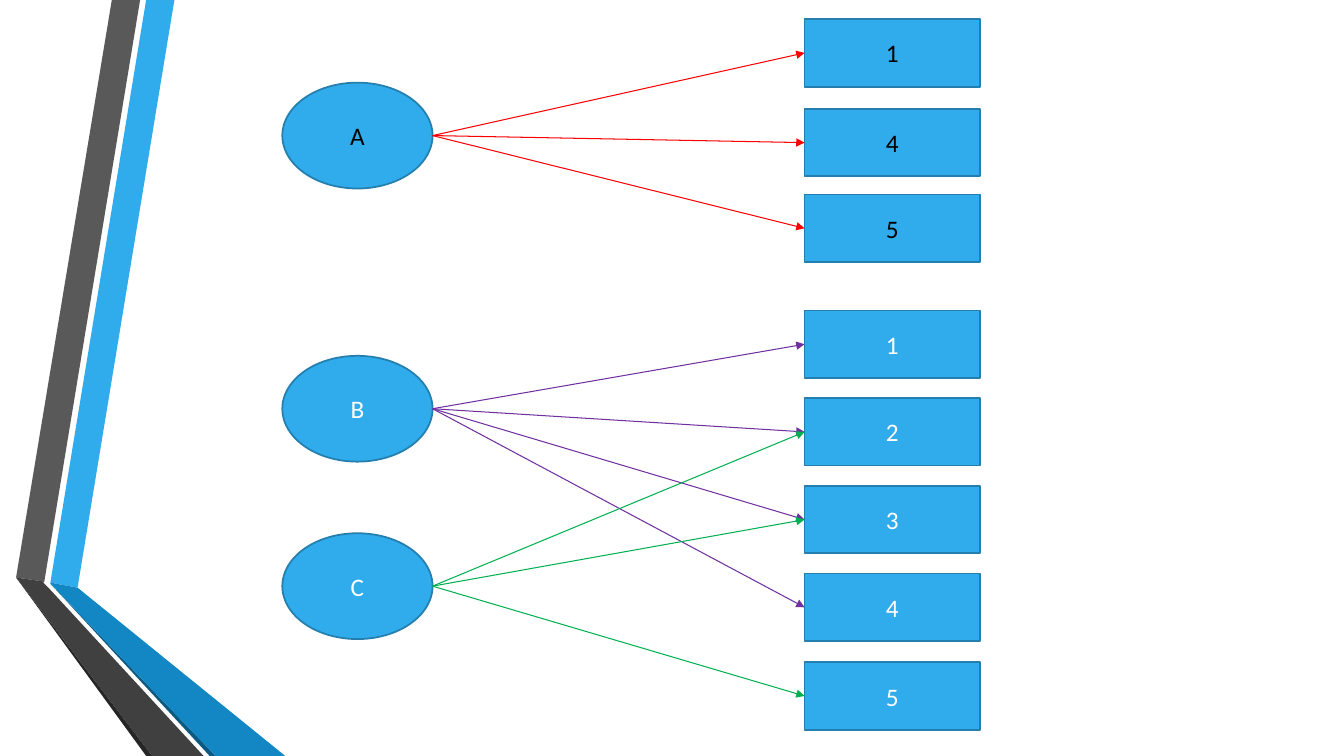
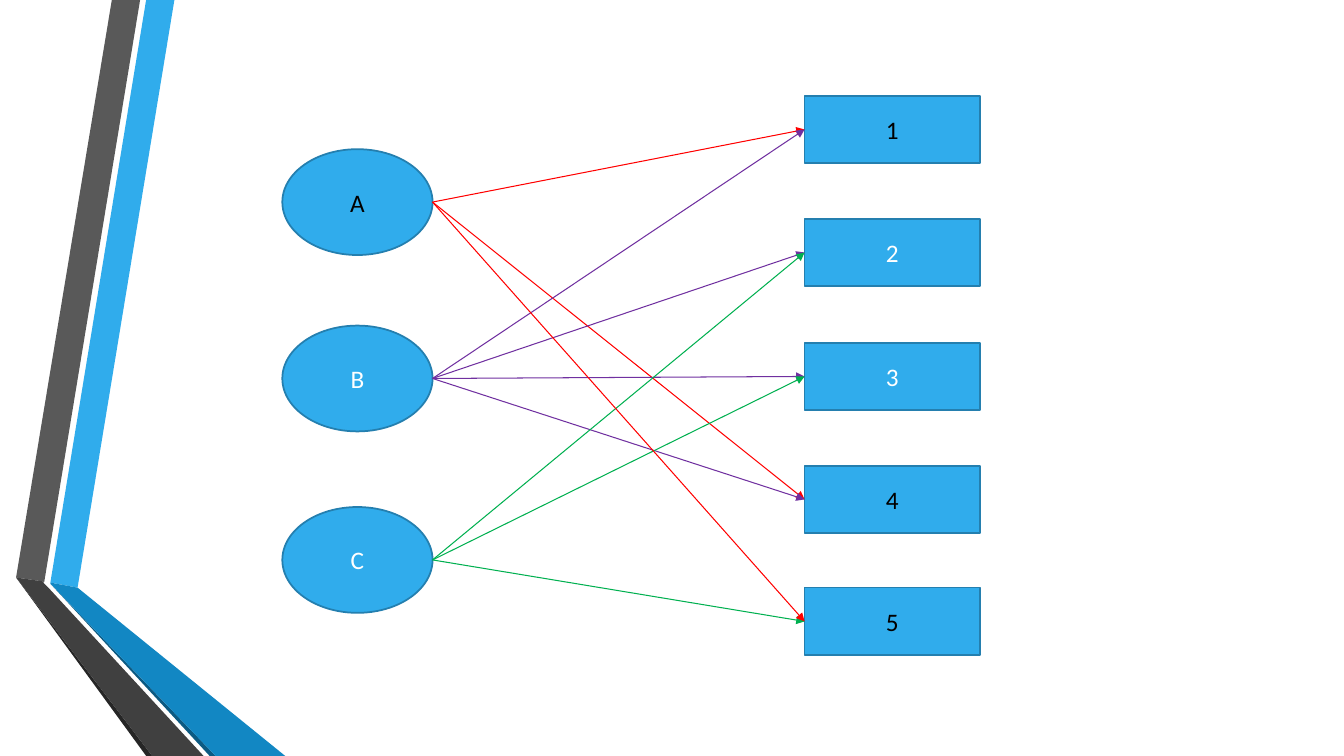
from lxml import etree
from pptx import Presentation
from pptx.dml.color import RGBColor
from pptx.enum.shapes import MSO_CONNECTOR, MSO_SHAPE
from pptx.enum.text import MSO_ANCHOR, PP_ALIGN
from pptx.oxml.ns import qn
from pptx.util import Emu, Pt

OVAL, RECTANGLE = MSO_SHAPE.OVAL, MSO_SHAPE.RECTANGLE
STRAIGHT = MSO_CONNECTOR.STRAIGHT
MIDDLE, CENTER = MSO_ANCHOR.MIDDLE, PP_ALIGN.CENTER

PX = 9144  # 100 px to the inch
WIDTH, HEIGHT = 1333, 750
BLANK_LAYOUT = 6

COLORS = {
    "blue": "30ACEC", "mid blue": "1287C3", "deep blue": "0C5A82", "outline": "247FAF",
    "grey": "595959", "dark grey": "404040", "charcoal": "262626",
    "black": "000000", "white": "FFFFFF",
    "A": "FF0000", "B": "7030A0", "C": "00B050",
}
PALETTE = {name: RGBColor.from_string(value) for name, value in COLORS.items()}

RIBBON = [
    ("blue", [(50, 578), (77, 583), (173, 0), (145, 0)]),
    ("grey", [(139, 0), (111, 0), (16, 573), (44, 577)]),
    ("charcoal", [(16, 573), (145, 750), (151, 750)]),
    ("deep blue", [(50, 579), (208, 750), (214, 750)]),
    ("mid blue", [(50, 579), (214, 750), (283, 750), (77, 583), (50, 578)]),
    ("dark grey", [(202, 750), (48, 583), (43, 578), (44, 577), (16, 573), (151, 750)]),
]

# Shape kind, left, width and height of each column
SOURCE_COLUMN = (OVAL, 280, 149, 105)
TARGET_COLUMN = (RECTANGLE, 798, 174, 67)

# Each slide is a list of mappings: tops of the nodes, links in drawing order,
# and the labels set in black
SLIDES = [
    [
        {"sources": {"A": 82},
         "targets": {"1": 19, "4": 108, "5": 193},
         "links": ["A4", "A1", "A5"],
         "black": "A145"},
        {"sources": {"B": 353, "C": 529},
         "targets": {"1": 308, "2": 395, "3": 482, "4": 569, "5": 657},
         "links": ["B1", "B2", "B3", "B4", "C5", "C2", "C3"],
         "black": ""},
    ],
    [
        {"sources": {"A": 148, "B": 323, "C": 503},
         "targets": {"1": 95, "2": 217, "3": 340, "4": 462, "5": 583},
         "links": ["A4", "A1", "B1", "B2", "B3", "B4", "C5", "C2", "C3", "A5"],
         "black": "A145"},
    ],
]


def add_node(page, column, top, label, color):
    kind, left, width, height = column
    node = page.shapes.add_shape(kind, *(Emu(n * PX) for n in (left, top, width, height)))
    node.shadow.inherit = False
    node.fill.solid()
    node.fill.fore_color.rgb = PALETTE["blue"]
    node.line.color.rgb = PALETTE["outline"]
    node.line.width = Pt(1.25)
    node.text_frame.vertical_anchor = MIDDLE
    para = node.text_frame.paragraphs[0]
    para.alignment = CENTER
    span = para.add_run()
    span.text = label
    for name, value in {"name": "Calibri", "size": Pt(18)}.items():
        setattr(span.font, name, value)
    span.font.color.rgb = PALETTE[color]
    return node


def add_arrow(page, source, target, color):
    """Glue an arrow from the right of an oval to the left of a rectangle."""
    arrow = page.shapes.add_connector(STRAIGHT, 0, 0, 0, 0)
    arrow.begin_connect(source, 3)
    arrow.end_connect(target, 1)
    # An oval has eight connection sites; its right one is number 6
    arrow.element.nvCxnSpPr.cNvCxnSpPr.stCxn.idx = 6
    arrow.line.color.rgb = PALETTE[color]
    arrow.line.width = Pt(0.75)
    etree.SubElement(arrow.line._get_or_add_ln(), qn("a:tailEnd"), type="triangle")
    etree.SubElement(arrow.element.spPr, qn("a:effectLst"))


deck = Presentation()
deck.slide_width, deck.slide_height = Emu(WIDTH * PX), Emu(HEIGHT * PX)
layout = deck.slide_layouts[BLANK_LAYOUT]
pages = [deck.slides.add_slide(layout) for _ in SLIDES]

# The ribbon is built on a page, then moved to the layout that all pages share
for holder in list(layout.placeholders):
    holder.element.getparent().remove(holder.element)
bands = []
for color, points in RIBBON:
    outline = pages[0].shapes.build_freeform(*points[0], scale=PX)
    outline.add_line_segments(points[1:], close=True)
    band = outline.convert_to_shape()
    band.shadow.inherit = False
    band.fill.solid()
    band.fill.fore_color.rgb = PALETTE[color]
    band.line.fill.background()
    bands.append(band)
for band in bands:
    layout.shapes.element.append(band.element)

for page, mappings in zip(pages, SLIDES):
    for mapping in mappings:
        nodes = {}
        for side, column in (("sources", SOURCE_COLUMN), ("targets", TARGET_COLUMN)):
            for label, top in mapping[side].items():
                color = "black" if label in mapping["black"] else "white"
                nodes[label] = add_node(page, column, top, label, color)
        for start, end in mapping["links"]:
            add_arrow(page, nodes[start], nodes[end], start)

deck.save("out.pptx")
